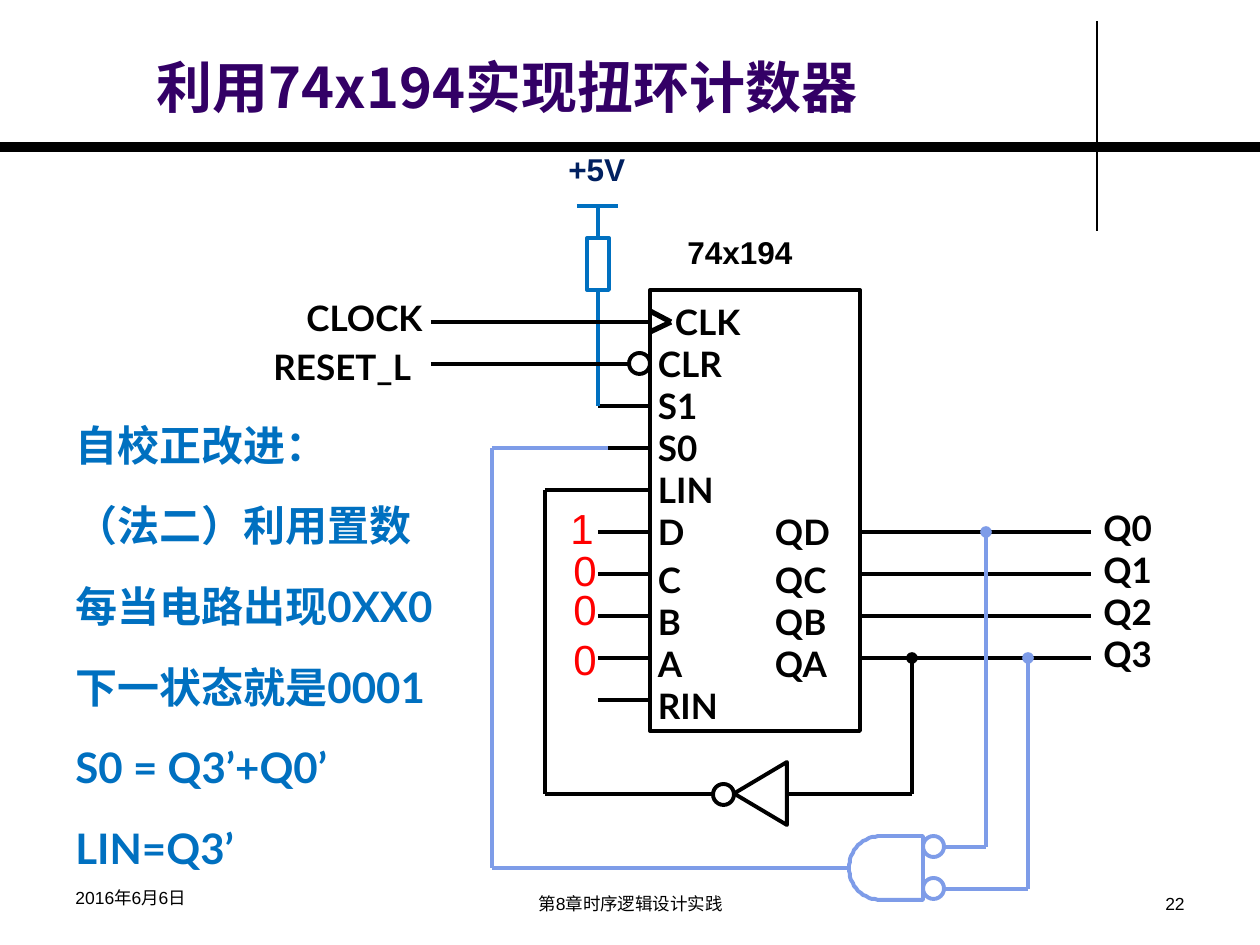
from dataclasses import dataclass
from math import cos, pi, sin

from lxml.etree import SubElement
from pptx import Presentation
from pptx.dml.color import RGBColor
from pptx.enum.shapes import MSO_CONNECTOR as Connector, MSO_SHAPE as Preset
from pptx.enum.text import MSO_ANCHOR as Anchor, PP_ALIGN as Align
from pptx.oxml.ns import qn
from pptx.util import Emu, Pt

SCALE = 914400 / 126
BLACK, BLUE, SOFT_BLUE = "000000", "0070C0", "7E9CE8"
PIN_TOP, PIN_STEP = 322, 42
PIN_LEFT, CHIP_LEFT, CHIP_RIGHT, OUTPUT_RIGHT = 598, 650, 860, 1091
PINS = ["CLK", "CLR", "S1", "S0", "LIN", "D\tQD", "C\tQC", "B\tQB", "A\tQA", "RIN"]


@dataclass
class Style:
    size: int
    font: str = "Arial"
    colour: str = BLACK
    bold: bool = False


@dataclass
class Label:
    lines: list[str]
    left: int
    top: int
    width: int
    height: int
    style: Style
    align: Align = Align.LEFT
    anchor: Anchor = Anchor.TOP
    spacing: float = 1.0


@dataclass
class Wire:
    points: list[tuple[int, int]]
    colour: str = BLACK
    weight: float = 2.25
    dot: bool = False


@dataclass
class Outline:
    preset: Preset
    left: int
    top: int
    width: int
    height: int
    colour: str = BLACK
    rotation: int = 0


def px(length: float) -> Emu:
    return Emu(round(length * SCALE))


def rgb(colour: str) -> RGBColor:
    return RGBColor.from_string(colour)


def pin_y(name: str) -> int:
    row = next(i for i, pin in enumerate(PINS) if name in pin.split("\t"))
    return PIN_TOP + PIN_STEP * row


def write(frame, lines: list[str], style: Style, align: Align, spacing: float) -> None:
    frame.text = "\n".join(lines)
    frame.word_wrap = True
    for para in frame.paragraphs:
        para.alignment = align
        para.line_spacing = spacing
        for span in para.runs:
            span.font.size = Pt(style.size)
            span.font.name = style.font
            span.font.bold = style.bold
            span.font.color.rgb = rgb(style.colour)
            SubElement(span.font._element, qn("a:ea"), typeface=style.font)


def draw_label(page, label: Label) -> None:
    box = page.shapes.add_textbox(px(label.left), px(label.top), px(label.width), px(label.height))
    box.text_frame.vertical_anchor = label.anchor
    write(box.text_frame, label.lines, label.style, label.align, label.spacing)


def draw_wire(page, wire: Wire) -> None:
    for index, (start, end) in enumerate(zip(wire.points, wire.points[1:])):
        line = page.shapes.add_connector(Connector.STRAIGHT, *map(px, start + end))
        line.line.color.rgb = rgb(wire.colour)
        line.line.width = Pt(wire.weight)
        if wire.dot and index == 0:
            SubElement(line.line._get_or_add_ln(), qn("a:headEnd"), type="oval")
        SubElement(line._element.spPr, qn("a:effectLst"))


def hollow(shape, colour: str) -> None:
    shape.shadow.inherit = False
    shape.fill.background()
    shape.line.color.rgb = rgb(colour)
    shape.line.width = Pt(2.25)


def draw_outline(page, item: Outline):
    shape = page.shapes.add_shape(item.preset, px(item.left), px(item.top), px(item.width), px(item.height))
    shape.rotation = item.rotation
    hollow(shape, item.colour)
    return shape


def draw_chip(page, style: Style) -> None:
    chip = draw_outline(page, Outline(Preset.RECTANGLE, CHIP_LEFT, 290, CHIP_RIGHT - CHIP_LEFT, 441))
    frame = chip.text_frame
    frame.vertical_anchor = Anchor.TOP
    frame.margin_left = px(8)
    write(frame, PINS, style, Align.LEFT, 1.0)
    for para in frame.paragraphs:
        if "\t" in para.text:
            tabs = SubElement(para._p.get_or_add_pPr(), qn("a:tabLst"))
            SubElement(tabs, qn("a:tab"), pos=str(px(117)), algn="l")
    clock = frame.paragraphs[0]
    clock.line_spacing = 1.1
    clock._p.get_or_add_pPr().set("marL", str(px(17)))
    frame.paragraphs[6].space_before = Pt(3.5)


def draw_gate(page, left: int, top: int, right: int, radius: int) -> None:
    arc = [(left + radius * (1 - sin(pi * step / 32)), top + radius * (1 - cos(pi * step / 32)))
           for step in range(33)]
    builder = page.shapes.build_freeform(right, top, scale=SCALE)
    builder.add_line_segments(arc + [(right, top + 2 * radius)], close=True)
    hollow(builder.convert_to_shape(), SOFT_BLUE)


def main() -> None:
    deck = Presentation()
    deck.slide_width, deck.slide_height = px(1260), px(945)
    page = deck.slides.add_slide(deck.slide_layouts[6])
    pin_style = Style(20, "Lato", BLACK, True)
    note_style = Style(24, "Lato", BLUE, True)
    part_style = Style(18, bold=True)
    footer, preset_value = Style(10), Style(24, colour="FF0000")

    draw_chip(page, pin_style)
    clk, clr, s1, s0, lin = map(pin_y, ["CLK", "CLR", "S1", "S0", "LIN"])
    q0, q3 = pin_y("QD"), pin_y("QA")
    wires = [
        Wire([(1097, 21), (1097, 231)], weight=0.75),
        Wire([(0, 147), (1260, 147)], weight=6),
        Wire([(CHIP_LEFT, 311), (671, clk), (CHIP_LEFT, 332)], weight=3),
        *[Wire([(PIN_LEFT, pin_y(name)), (CHIP_LEFT, pin_y(name))])
          for name in ["S1", "S0", "LIN", "D", "C", "B", "A", "RIN"]],
        *[Wire([(CHIP_RIGHT, pin_y(name)), (OUTPUT_RIGHT, pin_y(name))])
          for name in ["QD", "QC", "QB", "QA"]],
        Wire([(577, 206), (618, 206)], BLUE),
        Wire([(PIN_LEFT, 206), (PIN_LEFT, 238)], BLUE),
        Wire([(PIN_LEFT, 290), (PIN_LEFT, s1)], BLUE),
        Wire([(431, clk), (CHIP_LEFT, clk)]),
        Wire([(431, clr), (629, clr)]),
        Wire([(912, q3), (912, 794), (787, 794)], dot=True),
        Wire([(713, 794), (545, 794), (545, lin), (PIN_LEFT, lin)]),
        Wire([(986, q0), (986, 847), (944, 847)], SOFT_BLUE, dot=True),
        Wire([(1028, q3), (1028, 889), (944, 889)], SOFT_BLUE, dot=True),
        Wire([(849, 868), (492, 868), (492, s0), (608, s0)], SOFT_BLUE),
    ]
    for wire in wires:
        draw_wire(page, wire)

    outlines = [
        Outline(Preset.OVAL, 629, 353, 21, 21),
        Outline(Preset.RECTANGLE, 587, 238, 22, 52, BLUE),
        Outline(Preset.ISOSCELES_TRIANGLE, 729, 767, 63, 53, rotation=270),
        Outline(Preset.OVAL, 713, 784, 21, 21),
        Outline(Preset.OVAL, 923, 836, 21, 21, SOFT_BLUE),
        Outline(Preset.OVAL, 923, 878, 21, 21, SOFT_BLUE),
    ]
    for item in outlines:
        draw_outline(page, item)
    draw_gate(page, 849, 836, 923, 32)

    notes = ["自校正改进：", "（法二）利用置数", "每当电路出现0XX0", "下一状态就是0001",
             "S0 = Q3’+Q0’", "LIN=Q3’"]
    labels = [
        Label(["利用74x194实现扭环计数器"], 144, 32, 1027, 94,
              Style(32, "Noto Sans CJK JP", "330066", True), anchor=Anchor.BOTTOM),
        Label(["74x194"], 675, 227, 166, 63, part_style),
        Label(["+5V"], 556, 144, 100, 50, Style(18, colour="002060", bold=True)),
        Label(["CLOCK"], 294, 290, 160, 54, pin_style),
        Label(["RESET_L"], 261, 339, 180, 54, pin_style),
        Label(["Q0", "Q1", "Q2", "Q3"], OUTPUT_RIGHT, 500, 90, 180, pin_style),
        Label(notes, 63, 383, 410, 501, note_style, spacing=1.6),
        Label(["2016年6月6日"], 63, 881, 294, 43, footer),
        Label(["第8章时序逻辑设计实践"], 431, 887, 399, 37, footer, Align.CENTER),
        Label(["22"], 903, 887, 294, 37, footer, Align.RIGHT),
        *[Label([digit], left, top, 52, 63, preset_value)
          for digit, left, top in [("1", 558, 496), ("0", 561, 538), ("0", 561, 577), ("0", 561, 627)]],
    ]
    for label in labels:
        draw_label(page, label)
    deck.save("out.pptx")


if __name__ == "__main__":
    main()
